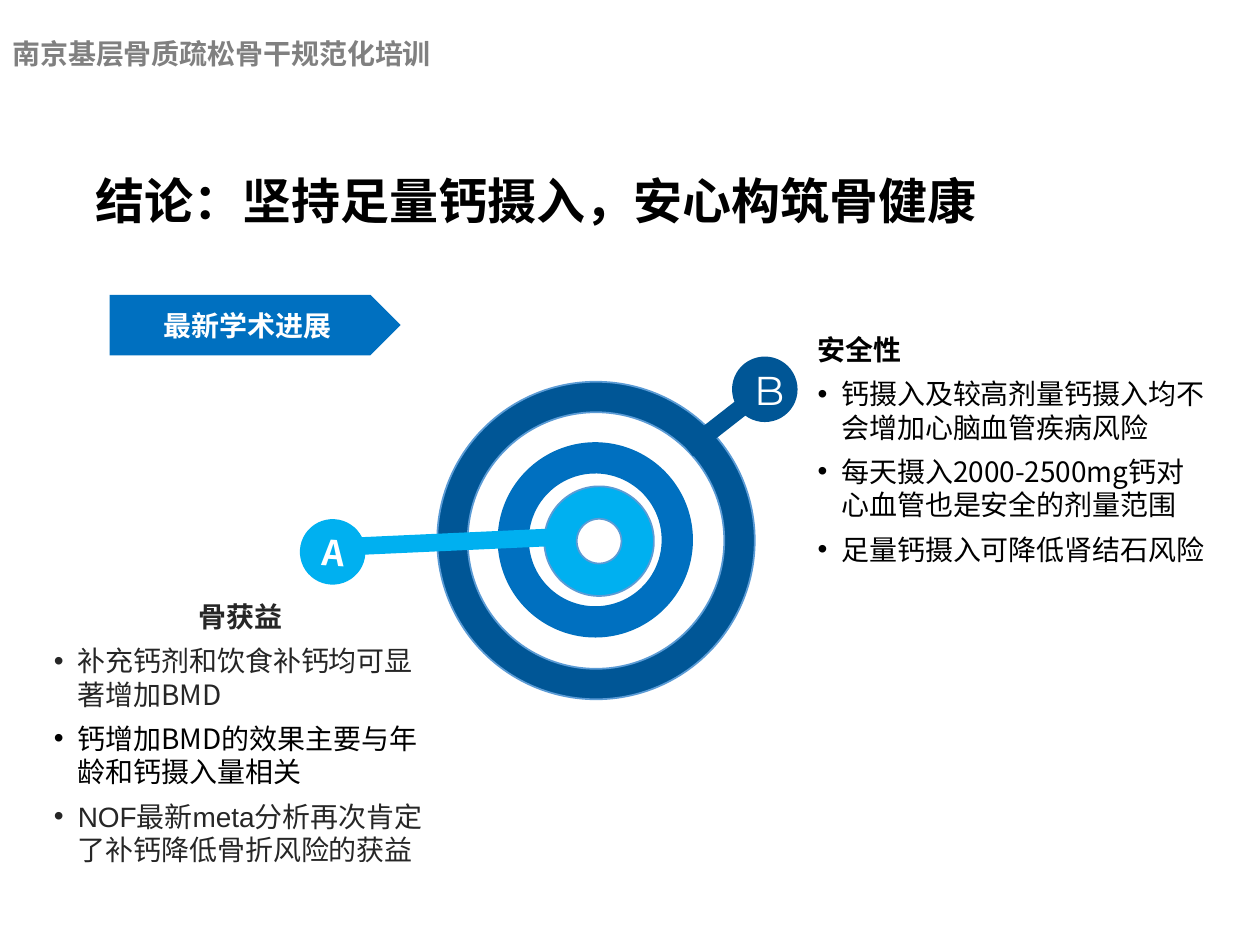
from lxml import etree
from pptx import Presentation
from pptx.dml.color import RGBColor
from pptx.enum.shapes import MSO_SHAPE
from pptx.enum.text import MSO_ANCHOR, PP_ALIGN
from pptx.oxml.ns import qn
from pptx.util import Inches, Pt

DONUT, OVAL = MSO_SHAPE.DONUT, MSO_SHAPE.OVAL
BAR, PENTAGON = MSO_SHAPE.RECTANGLE, MSO_SHAPE.PENTAGON
LEFT, CENTER = PP_ALIGN.LEFT, PP_ALIGN.CENTER
TOP, MIDDLE = MSO_ANCHOR.TOP, MSO_ANCHOR.MIDDLE

CJK_FONT = "Noto Sans CJK SC"
COLORS = {
    "navy": "005696",
    "blue": "0070C0",
    "sky": "00B0F0",
    "outline": "5B9BD5",
    "white": "FFFFFF",
    "black": "000000",
    "charcoal": "262626",
    "gray": "808080",
}


def color(name):
    return RGBColor.from_string(COLORS[name])


def write(paragraph, text, size=16, font=CJK_FONT, ink="black", bold=False, align=LEFT):
    paragraph.alignment = align
    run = paragraph.add_run()
    run.text = text
    run.font.size = Pt(size)
    run.font.bold = bold
    run.font.name = font
    run.font.color.rgb = color(ink)
    east_asian = etree.SubElement(run._r.get_or_add_rPr(), qn("a:ea"))
    east_asian.set("typeface", CJK_FONT)


def add_bullet(paragraph):
    properties = paragraph._p.get_or_add_pPr()
    properties.set("marL", str(Inches(0.19)))
    properties.set("indent", str(-Inches(0.19)))
    bullet_font = etree.SubElement(properties, qn("a:buFont"))
    bullet_font.set("typeface", "Arial")
    etree.SubElement(properties, qn("a:buChar")).set("char", "•")
    paragraph.space_before = Pt(6)


def place(shape, left, top, width, height):
    shape.left, shape.top = Inches(left), Inches(top)
    shape.width, shape.height = Inches(width), Inches(height)


def add_shape(slide, kind, box, fill, rotation=0, outline=None, text=None, **text_format):
    shape = slide.shapes.add_shape(kind, *map(Inches, box))
    shape.shadow.inherit = False
    shape.rotation = rotation
    shape.fill.solid()
    shape.fill.fore_color.rgb = color(fill)
    if outline:
        shape.line.color.rgb = color(outline)
        shape.line.width = Pt(1)
    else:
        shape.line.fill.background()
    if text:
        shape.text_frame.vertical_anchor = MIDDLE
        write(shape.text_frame.paragraphs[0], text, **text_format)
    return shape


def add_ring(slide, left, top, size, thickness, fill, outline=None):
    ring = add_shape(slide, DONUT, (left, top, size, size), fill, 343, outline)
    ring.adjustments[0] = thickness


def add_list(slide, box, heading, items, ink, align=LEFT):
    """Add a bold heading over bullets; each item is a text and its format."""
    text_box = slide.shapes.add_textbox(*map(Inches, box))
    frame = text_box.text_frame
    frame.word_wrap = True
    frame.vertical_anchor = TOP
    write(frame.paragraphs[0], heading, bold=True, ink=ink, align=align)
    for text, text_format in items:
        paragraph = frame.add_paragraph()
        add_bullet(paragraph)
        write(paragraph, text, **{"ink": ink, **text_format})


def add_title(slide, text):
    title = slide.shapes.title
    place(title, 0.66, 1.14, 8.62, 0.95)
    title.text_frame.vertical_anchor = MIDDLE
    paragraph = title.text_frame.paragraphs[0]
    paragraph.line_spacing = 0.9
    write(paragraph, text, size=28, font="Arial", bold=True)


def add_target(slide):
    add_ring(slide, 3.47, 3.03, 2.52, 0.096, "navy", "outline")
    add_ring(slide, 3.95, 3.51, 1.55, 0.16, "blue")
    add_shape(slide, BAR, (5.38, 3.27, 0.74, 0.14), "navy", 322)
    add_ring(slide, 4.32, 3.86, 0.87, 0.296, "sky", "outline")
    add_shape(slide, OVAL, (5.81, 2.83, 0.52, 0.52), "navy",
              text="B", size=23, font="Montserrat", ink="white", align=CENTER)
    add_shape(slide, BAR, (2.87, 4.23, 1.49, 0.14), "sky", 357.4)
    add_shape(slide, OVAL, (2.38, 4.12, 0.52, 0.52), "sky", 3.5,
              text="A", size=20, ink="white", bold=True, align=CENTER)


def main():
    presentation = Presentation()
    presentation.slide_width, presentation.slide_height = Inches(10), Inches(7.5)
    slide = presentation.slides.add_slide(presentation.slide_layouts[5])

    add_title(slide, "结论：坚持足量钙摄入，安心构筑骨健康")
    add_target(slide)
    add_list(slide, (6.39, 2.59, 3.32, 1.81), "安全性", [
        ("钙摄入及较高剂量钙摄入均不会增加心脑血管疾病风险", {}),
        ("每天摄入2000-2500mg钙对心血管也是安全的剂量范围", {}),
        ("足量钙摄入可降低肾结石风险", {}),
    ], ink="black")
    add_list(slide, (0.33, 4.71, 3.16, 0.74), "骨获益", [
        ("补充钙剂和饮食补钙均可显著增加BMD", {}),
        ("钙增加BMD的效果主要与年龄和钙摄入量相关", {"ink": "black"}),
        ("NOF最新meta分析再次肯定了补钙降低骨折风险的获益", {"font": "Arial"}),
    ], ink="charcoal", align=CENTER)
    add_shape(slide, PENTAGON, (0.87, 2.34, 2.31, 0.48), "blue",
              text="最新学术进展", ink="white", bold=True, align=CENTER)
    add_shape(slide, BAR, (0, 0, 9.81, 0.84), "white",
              text="南京基层骨质疏松骨干规范化培训", ink="gray", bold=True)
    presentation.save("out.pptx")


if __name__ == "__main__":
    main()
